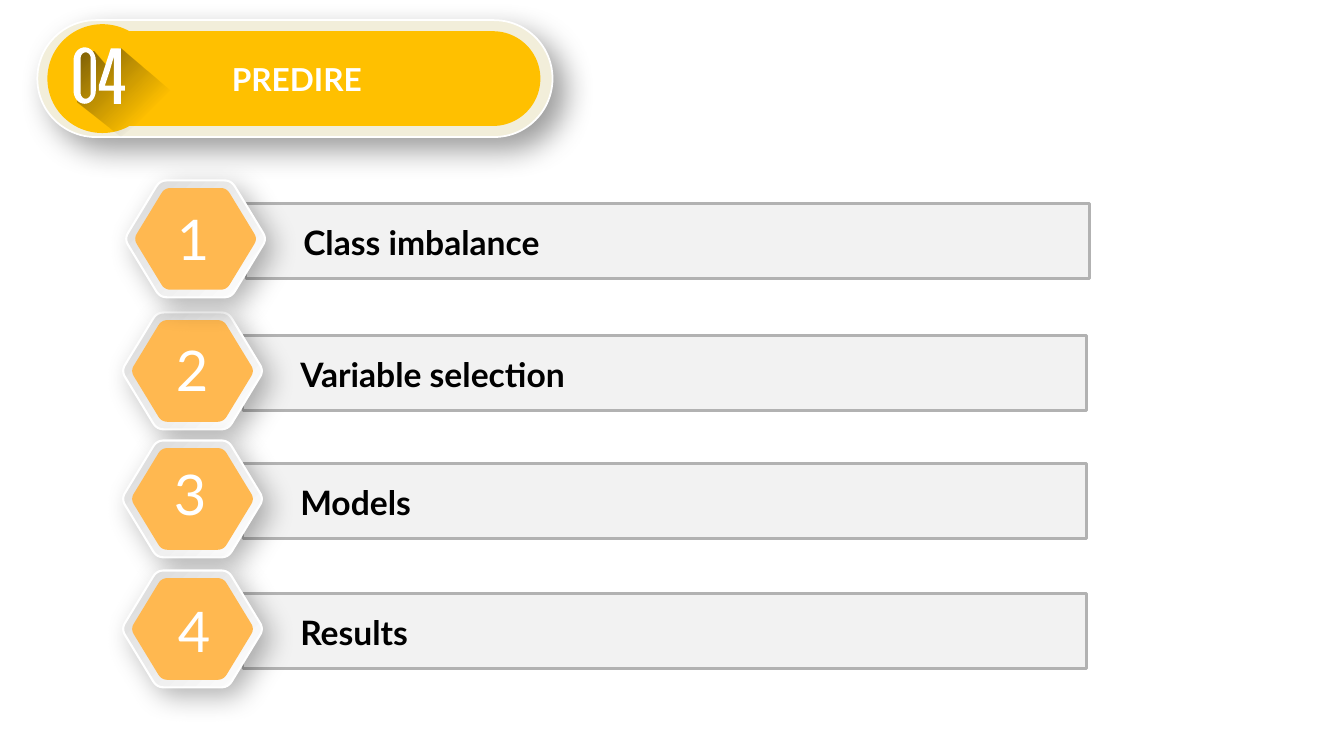
from math import cos, hypot, pi, sin
from pptx import Presentation
from pptx.dml.color import RGBColor
from pptx.enum.shapes import MSO_SHAPE as Shape
from pptx.enum.text import MSO_ANCHOR as Anchor, PP_ALIGN as Align
from pptx.oxml import parse_xml
from pptx.oxml.ns import nsdecls, qn
from pptx.util import Inches, Pt

TITLE = "PREDIRE"
STEPS = [
    ("1", "Class imbalance", 1.25, 1.79, (0.14, 0.19)),
    ("2", "Variable selection", 1.22, 3.10, (0.16, 0.18)),
    ("3", "Models", 1.22, 4.37, (0.14, 0.14)),
    ("4", "Results", 1.22, 5.66, (0.18, 0.21)),
]
FONT = "Lato"
WHITE, BLACK, AMBER, ORANGE = "FFFFFF", "000000", "FFC000", "FFB850"
CREAM, BAR_FILL, BAR_EDGE, SILVER = "F2EEDA", "F2F2F2", "B2B2B2", "D9D9D9"
HEX_W, HEX_H = 1.38, 1.16
INNER_SHARE = 0.87

DIGIT_SHADE = [(0.77, 1.01), (0.77, 0.52), (0.94, 0.51), (1.06, 0.65),
               (1.11, 0.51), (1.2, 0.48), (1.73, 0.93), (1.2, 1.35)]
FOUR = [
    [(1.1, 0.48), (1.2, 0.48), (1.2, 0.85), (1.24, 0.85), (1.24, 0.9), (1.2, 0.9),
     (1.2, 1.03), (1.13, 1.03), (1.13, 0.9), (0.98, 0.9), (0.98, 0.85)],
    [(1.13, 0.85), (1.13, 0.56), (1.09, 0.7), (1.04, 0.85)],
]

prs = Presentation()
prs.slide_width, prs.slide_height = Inches(13.33), Inches(7.5)
slide = prs.slides.add_slide(prs.slide_layouts[6])


def color(value):
    return RGBColor.from_string(value)


def paint(shape, fill, edge=None, weight=1, shadow=None):
    shape.shadow.inherit = False
    shape.fill.solid()
    shape.fill.fore_color.rgb = color(fill)
    if edge:
        shape.line.color.rgb = color(edge)
        shape.line.width = Pt(weight)
    else:
        shape.line.fill.background()
    if shadow:
        alpha, blur, distance = shadow
        shape._element.spPr.find(qn("a:effectLst")).append(parse_xml(
            f'<a:outerShdw {nsdecls("a")} blurRad="{Pt(blur)}" dist="{Pt(distance)}" '
            f'dir="2700000" algn="tl" rotWithShape="0"><a:srgbClr val="{BLACK}">'
            f'<a:alpha val="{alpha * 1000}"/></a:srgbClr></a:outerShdw>'))
    return shape


def blend(shape, stops):
    marks = "".join(
        f'<a:gs pos="{place * 1000}"><a:srgbClr val="{tone}">'
        f'<a:alpha val="{alpha * 1000}"/></a:srgbClr></a:gs>'
        for place, tone, alpha in stops)
    props = shape._element.spPr
    props.replace(props.find(qn("a:solidFill")), parse_xml(
        f'<a:gradFill {nsdecls("a")} rotWithShape="1"><a:gsLst>{marks}</a:gsLst>'
        f'<a:lin ang="2700000" scaled="0"/></a:gradFill>'))


def preset(kind, left, top, width, height, *style):
    shape = slide.shapes.add_shape(
        kind, Inches(left), Inches(top), Inches(width), Inches(height))
    return paint(shape, *style)


def outline(contours, *style):
    builder = None
    for contour in contours:
        points = [(Inches(x), Inches(y)) for x, y in contour]
        if builder is None:
            builder = slide.shapes.build_freeform(*points[0], scale=1.0)
        else:
            builder.move_to(*points[0])
        builder.add_line_segments(points[1:], close=True)
    return paint(builder.convert_to_shape(), *style)


def write(frame, text, size, tone, bold=False, align=Align.LEFT):
    frame.word_wrap = True
    frame.text = text
    paragraph = frame.paragraphs[0]
    paragraph.alignment = align
    font = paragraph.runs[0].font
    font.name, font.size, font.bold = FONT, Pt(size), bold
    font.color.rgb = color(tone)


def label(left, top, width, height, *text):
    box = slide.shapes.add_textbox(
        Inches(left), Inches(top), Inches(width), Inches(height))
    write(box.text_frame, *text)


def stadium(left, top, right, bottom, steps=16):
    rx, ry = (right - left) / 2, (right - left) * 0.58
    points = []
    for start, middle in ((pi, top + ry), (0, bottom - ry)):
        for i in range(steps + 1):
            angle = start + pi * i / steps
            points.append((left + rx + rx * cos(angle), middle + ry * sin(angle)))
    return points


def rounded_hexagon(center_x, center_y, share, steps=6):
    side, shoulder, half = 0.706 * share, 0.353 * share, HEX_H / 2 * share
    corners = [(center_x + dx, center_y + dy) for dx, dy in (
        (-side, 0), (-shoulder, -half), (shoulder, -half),
        (side, 0), (shoulder, half), (-shoulder, half))]
    points = []
    for i, (x, y) in enumerate(corners):
        ends = []
        for nx, ny in (corners[i - 1], corners[(i + 1) % 6]):
            cut = 0.07 * share / hypot(nx - x, ny - y)
            ends.append((x + (nx - x) * cut, y + (ny - y) * cut))
        (ax, ay), (bx, by) = ends
        for k in range(steps + 1):
            t = k / steps
            a, c, b = (1 - t) ** 2, 2 * t * (1 - t), t * t
            points.append((a * ax + c * x + b * bx, a * ay + c * y + b * by))
    return points


def add_header():
    frame = preset(Shape.ROUNDED_RECTANGLE, 0.37, 0.2, 5.11, 1.16,
                   CREAM, WHITE, 1.25, (38, 22, 12))
    banner = preset(Shape.ROUNDED_RECTANGLE, 0.53, 0.31, 4.83, 0.94, AMBER)
    for pill in (frame, banner):
        pill.adjustments[0] = 0.5
    banner.text_frame.vertical_anchor = Anchor.MIDDLE
    write(banner.text_frame, TITLE, 22.6, WHITE, True, Align.CENTER)
    preset(Shape.OVAL, 0.47, 0.24, 1.09, 1.08, AMBER)
    shade = outline([DIGIT_SHADE], BLACK)
    blend(shade, [(0, "0D0D0D", 55), (73, "0D0D0D", 0), (100, "0D0D0D", 0)])
    outline([stadium(0.73, 0.47, 0.95, 1.03), stadium(0.8, 0.52, 0.9, 0.98)], WHITE)
    outline(FOUR, WHITE)


def add_step(number, text, left, top, number_shift):
    center = left + HEX_W / 2, top + HEX_H / 2
    preset(Shape.RECTANGLE, left + 1.19, top + 0.23, 8.37, 0.74, BAR_FILL, BAR_EDGE, 2)
    rim = outline([rounded_hexagon(*center, 1)], SILVER, WHITE, 1.5, (30, 20, 8))
    blend(rim, [(0, SILVER, 100), (100, WHITE, 100)])
    outline([rounded_hexagon(*center, INNER_SHARE)], ORANGE)
    label(left + 1.66, top + 0.36, 4, 0.5, text, 24, BLACK, True)
    dx, dy = number_shift
    label(left + dx, top + dy, 1.05, 0.77, number, 40, WHITE, False, Align.CENTER)


add_header()
for step in STEPS[1:] + STEPS[:1]:
    add_step(*step)
prs.save("out.pptx")
